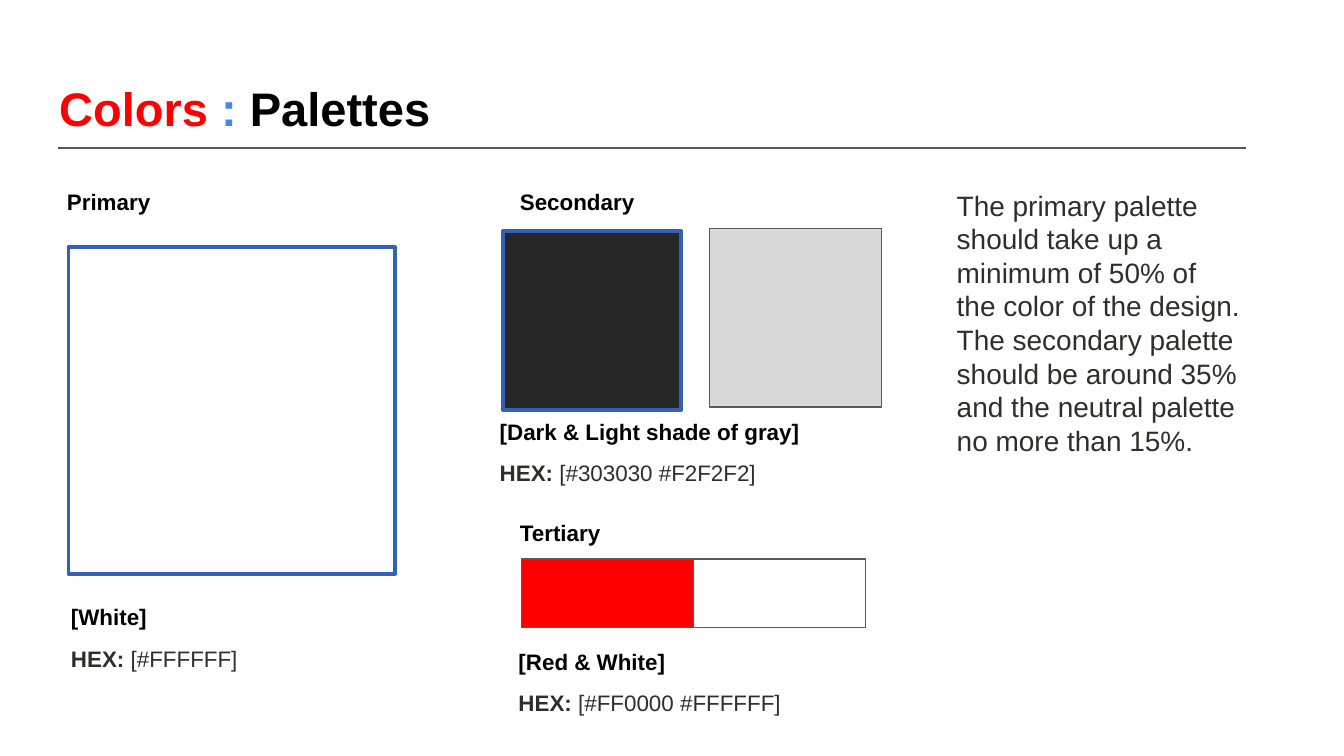
from lxml import etree
from pptx import Presentation
from pptx import util as u
from pptx.dml.color import RGBColor
from pptx.enum import shapes, text
from pptx.oxml.ns import qn

PX = 9144  # 100 px to the inch
FONT = "Arial"
COLORS = {
    "red": "FF0000", "blue": "4285F4", "black": "000000", "white": "FFFFFF",
    "body": "2E2E2D", "rule": "595959", "frame": "3162B5",
    "dark": "262626", "light": "D9D9D9",
}


def color(name):
    return RGBColor.from_string(COLORS[name])


def emu(*lengths):
    return [length * PX for length in lengths]


def add_span(para, words, size, name, bold=False):
    span = para.add_run()
    span.text = words
    span.font.name = FONT
    span.font.size = u.Pt(size)
    span.font.bold = bold
    span.font.color.rgb = color(name)


def set_frame(frame, anchor):
    frame.word_wrap = True
    frame.auto_size = text.MSO_AUTO_SIZE.NONE
    frame.vertical_anchor = anchor
    frame.margin_left = frame.margin_right = 10 * PX
    frame.margin_top = frame.margin_bottom = 10 * PX


def add_text(page, left, top, width, height):
    frame = page.shapes.add_textbox(*emu(left, top, width, height)).text_frame
    set_frame(frame, text.MSO_ANCHOR.TOP)
    return frame


def add_heading(page, words, left, top, width):
    frame = add_text(page, left, top, width, 40)
    add_span(frame.paragraphs[0], words, 12, "black", True)


def add_caption(page, label, codes, left, top):
    frame = add_text(page, left, top, 254, 85)
    name_para, hex_para = frame.paragraphs[0], frame.add_paragraph()
    name_para.line_spacing, name_para.space_before = 0.91, u.Pt(11)
    hex_para.line_spacing, hex_para.space_before = 1.4, u.Pt(2)
    add_span(name_para, label, 12, "black", True)
    add_span(hex_para, "HEX:", 12, "body", True)
    add_span(hex_para, f" [{codes}]", 12, "body")


def add_swatch(page, fill, left, top, width, height, line="rule", weight=0.75):
    box = page.shapes.add_shape(
        shapes.MSO_SHAPE.RECTANGLE, *emu(left, top, width, height))
    box.shadow.inherit = False
    box.fill.solid()
    box.fill.fore_color.rgb = color(fill)
    box.line.color.rgb = color(line)
    box.line.width = u.Pt(weight)


def add_header(page, left, top, width, height):
    # Title
    title = page.shapes.title
    title.left, title.top, title.width, title.height = emu(left, top, width, height)
    set_frame(title.text_frame, text.MSO_ANCHOR.MIDDLE)
    para = title.text_frame.paragraphs[0]
    para.alignment = text.PP_ALIGN.LEFT
    for words, name in (("Colors ", "red"), (": ", "blue"), ("Palettes", "black")):
        add_span(para, words, 25.2, name, True)
    # Rule under the title
    rule = page.shapes.add_connector(
        shapes.MSO_CONNECTOR.STRAIGHT,
        *emu(left + 9, top + 61, left + 893, top + 61))
    rule.line.color.rgb = color("rule")
    rule.line.width = u.Pt(0.75)
    etree.SubElement(rule._element.spPr, qn("a:effectLst"))


def add_primary(page, left, top, width):
    add_heading(page, "Primary", left, top, width)
    add_swatch(page, "white", left + 11, top + 54, 243, 243, "frame", 2)
    add_caption(page, "[White]", "#FFFFFF", left + 3, top + 311)


def add_secondary(page, left, top, width):
    add_heading(page, "Secondary", left, top, width)
    add_swatch(page, "light", left + 151, top + 40, 128, 133)
    add_swatch(page, "dark", left - 3, top + 42, 133, 133, "frame", 2)
    add_caption(page, "[Dark & Light shade of gray]", "#303030 #F2F2F2",
                left - 15, top + 173)


def add_tertiary(page, left, top, width):
    add_heading(page, "Tertiary", left, top, width)
    # The white half lies over the full-width red bar
    add_swatch(page, "red", left + 11, top + 40, 256, 51)
    add_swatch(page, "white", left + 139, top + 40, 128, 51)
    add_caption(page, "[Red & White]", "#FF0000 #FFFFFF", left - 1, top + 98)


def add_guidance(page, left, top, width, height):
    frame = add_text(page, left, top, width, height)
    add_span(
        frame.paragraphs[0],
        "The primary palette should take up a minimum of 50% of the color of "
        "the design. The secondary palette should be around 35% and the "
        "neutral palette no more than 15%.", 15, "body")


def main():
    deck = Presentation()
    deck.slide_width = 1000 * PX
    deck.slide_height = deck.slide_width * 9 // 16
    page = deck.slides.add_slide(deck.slide_layouts.get_by_name("Title Only"))
    add_header(page, 34, 49, 932, 63)
    add_primary(page, 40, 130, 264)
    add_secondary(page, 377, 130, 267)
    add_tertiary(page, 377, 376, 550)
    add_guidance(page, 702, 130, 232, 222)
    deck.save("out.pptx")


if __name__ == "__main__":
    main()
